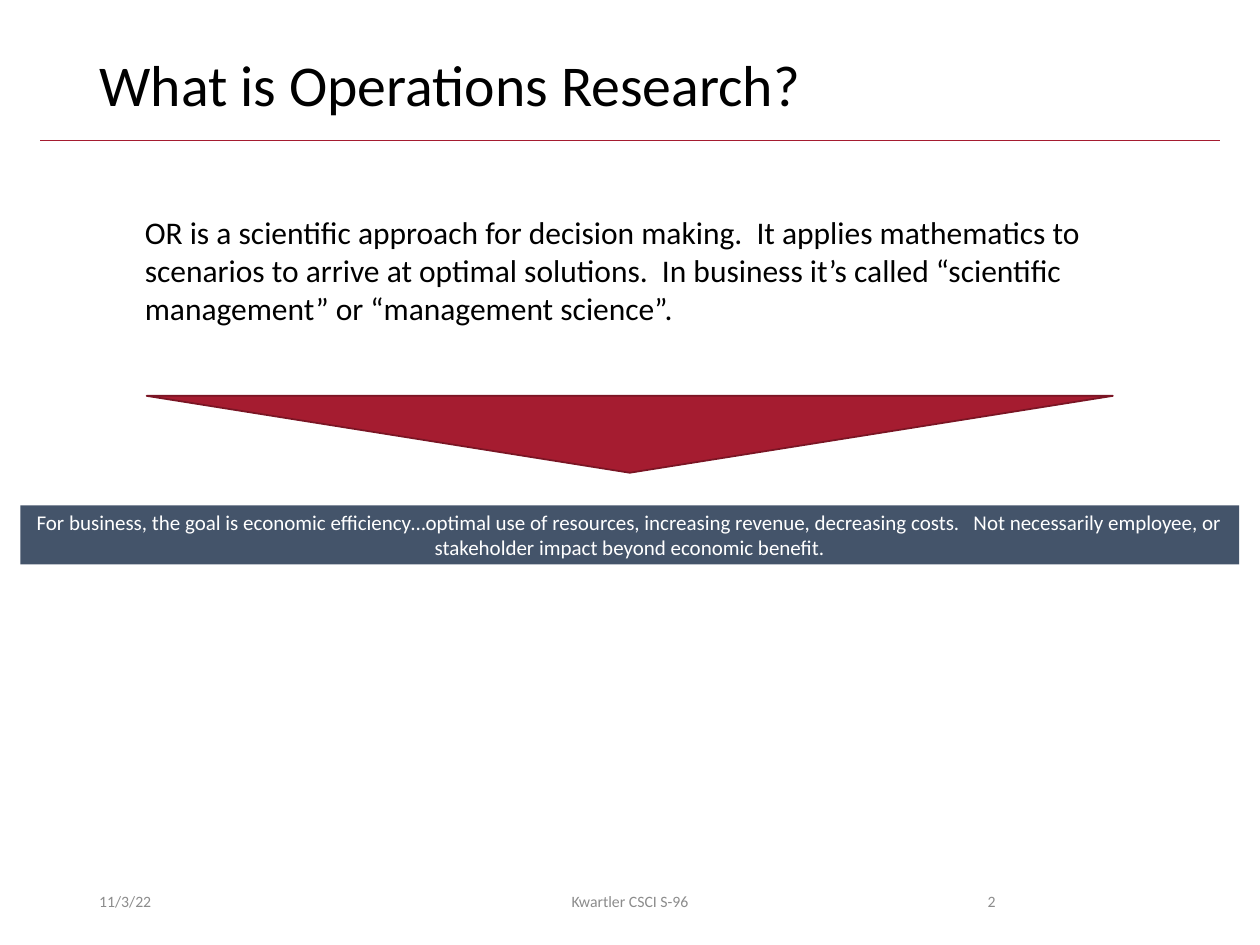
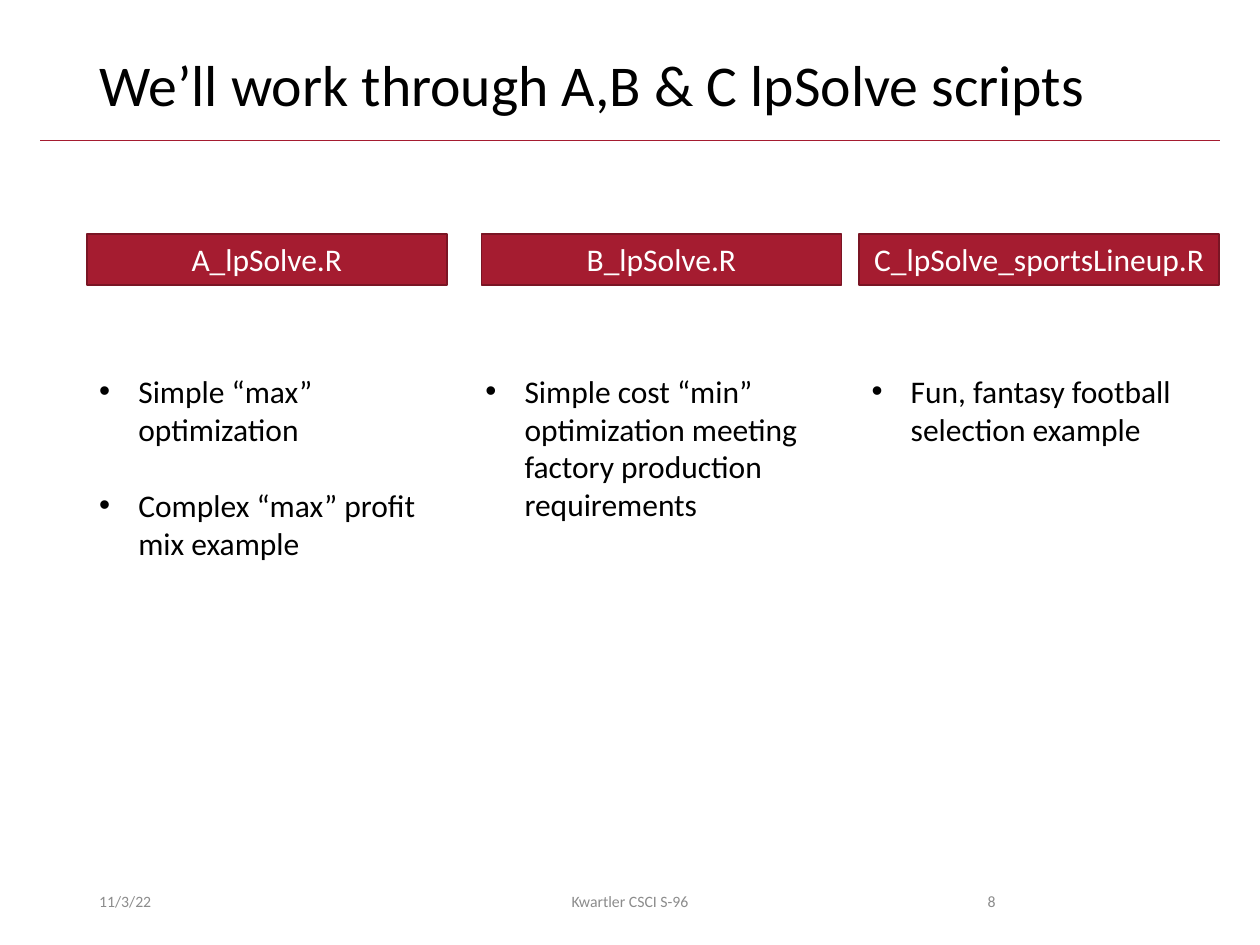
from dataclasses import dataclass

from lxml.etree import SubElement
from pptx import Presentation
from pptx.dml.color import RGBColor
from pptx.enum.shapes import MSO_CONNECTOR, MSO_SHAPE
from pptx.enum.text import MSO_ANCHOR, MSO_AUTO_SIZE, PP_ALIGN
from pptx.oxml.ns import qn
from pptx.util import Cm, Pt


@dataclass(frozen=True)
class Theme:
    font: str = "Calibri"
    ink: str = "000000"
    white: str = "FFFFFF"
    grey: str = "8C8C8C"
    crimson: str = "A51C30"
    crimson_edge: str = "7A1524"
    slate: str = "44546A"
    title_size: float = 33
    body_size: float = 18
    banner_size: float = 12
    footer_size: float = 9


@dataclass(frozen=True)
class Box:
    """Lengths in centimetres."""
    left: float
    top: float
    width: float
    height: float

    def lengths(self):
        return Cm(self.left), Cm(self.top), Cm(self.width), Cm(self.height)


THEME = Theme()
PAGE = Box(0, 0, 25.4, 19.05)
MARGIN = 1.75
BULLET_INDENT = 0.79


# Text and shape helpers
def add_span(para, text, size, color):
    span = para.add_run()
    span.text = text
    span.font.name = THEME.font
    span.font.size = Pt(size)
    span.font.color.rgb = RGBColor.from_string(color)


def add_text(slide, box, text, size, color, align=PP_ALIGN.LEFT, anchor=MSO_ANCHOR.TOP):
    frame = slide.shapes.add_textbox(*box.lengths()).text_frame
    frame.word_wrap = True
    frame.vertical_anchor = anchor
    frame.paragraphs[0].alignment = align
    add_span(frame.paragraphs[0], text, size, color)


def add_block(slide, kind, box, fill, edge=None):
    shape = slide.shapes.add_shape(kind, *box.lengths())
    shape.shadow.inherit = False
    shape.fill.solid()
    shape.fill.fore_color.rgb = RGBColor.from_string(fill)
    if edge:
        shape.line.color.rgb = RGBColor.from_string(edge)
        shape.line.width = Pt(1)
    else:
        shape.line.fill.background()
    return shape


def label_block(shape, text, size):
    frame = shape.text_frame
    frame.word_wrap = True
    frame.vertical_anchor = MSO_ANCHOR.MIDDLE
    frame.paragraphs[0].alignment = PP_ALIGN.CENTER
    add_span(frame.paragraphs[0], text, size, THEME.white)


# Parts every slide shares
def set_title(slide, box, text):
    title = slide.shapes.title
    title.left, title.top, title.width, title.height = box.lengths()
    frame = title.text_frame
    frame.word_wrap = True
    frame.auto_size = MSO_AUTO_SIZE.NONE
    frame.vertical_anchor = MSO_ANCHOR.TOP
    para = frame.paragraphs[0]
    para.alignment = PP_ALIGN.LEFT
    para.line_spacing = 0.9
    add_span(para, text, THEME.title_size, THEME.ink)


def add_title_rule(slide, left, right, top):
    rule = slide.shapes.add_connector(
        MSO_CONNECTOR.STRAIGHT, Cm(left), Cm(top), Cm(right), Cm(top))
    rule.line.color.rgb = RGBColor.from_string(THEME.crimson)
    rule.line.width = Pt(0.5)
    SubElement(rule._element.spPr, qn("a:effectLst"))


def add_footer(slide, box, number):
    parts = (
        ("11/3/22", 0, 5.72, PP_ALIGN.LEFT),
        ("Kwartler CSCI S-96", 6.66, 8.58, PP_ALIGN.CENTER),
        (str(number), 16.18, 2.39, PP_ALIGN.RIGHT),
    )
    for text, offset, width, align in parts:
        part = Box(box.left + offset, box.top, width, box.height)
        add_text(slide, part, text, THEME.footer_size, THEME.grey, align, MSO_ANCHOR.MIDDLE)


def add_page(deck, title, number):
    slide = deck.slides.add_slide(deck.slide_layouts.get_by_name("Title Only"))
    add_title_rule(slide, 0.81, PAGE.width - 0.81, 2.84)
    content_width = PAGE.width - 2 * MARGIN
    set_title(slide, Box(MARGIN, 1.02, content_width, 1.65), title)
    add_footer(slide, Box(MARGIN, 17.65, content_width, 1.02), number)
    return slide


# Definition leading down to the business goal
def add_definition(slide, box, definition, goal):
    text_box = Box(box.left + 2.26, box.top, 20.09, 2.57)
    add_text(slide, text_box, definition, THEME.body_size, THEME.ink)

    arrow_width = 19.48
    arrow_box = Box(box.left + (box.width - arrow_width) / 2, box.top + 3.81,
                    arrow_width, 1.55)
    arrow = add_block(slide, MSO_SHAPE.ISOSCELES_TRIANGLE, arrow_box,
                      THEME.crimson, THEME.crimson_edge)
    arrow.rotation = 180

    banner_box = Box(box.left, box.top + 6.02, box.width, 1.19)
    banner = add_block(slide, MSO_SHAPE.RECTANGLE, banner_box, THEME.slate)
    label_block(banner, goal, THEME.banner_size)


# Script column: heading bar above a bullet list
def add_bullets(slide, box, items):
    frame = slide.shapes.add_textbox(*box.lengths()).text_frame
    frame.word_wrap = True
    for index, item in enumerate(items):
        para = frame.add_paragraph() if index else frame.paragraphs[0]
        if index:
            para.space_before = Pt(22)
        props = para._p.get_or_add_pPr()
        props.set("marL", str(Cm(BULLET_INDENT)))
        props.set("indent", str(-Cm(BULLET_INDENT)))
        SubElement(props, qn("a:buFont"), typeface="Arial")
        SubElement(props, qn("a:buChar"), char="•")
        add_span(para, item, THEME.body_size, THEME.ink)


def add_script_column(slide, box, name, items, heading_shift):
    heading_box = Box(box.left + heading_shift, box.top, box.width, 1.02)
    heading = add_block(slide, MSO_SHAPE.RECTANGLE, heading_box,
                        THEME.crimson, THEME.crimson_edge)
    label_block(heading, name, THEME.body_size)
    list_top = 2.65
    add_bullets(slide, Box(box.left, box.top + list_top, box.width,
                           box.height - list_top), items)


def add_script_columns(slide, box, scripts):
    column_width = 7.26
    pitch = (box.width - column_width) / (len(scripts) - 1)
    for index, (name, items, heading_shift) in enumerate(scripts):
        column = Box(box.left + index * pitch, box.top, column_width, box.height)
        add_script_column(slide, column, name, items, heading_shift)


def main():
    deck = Presentation()
    deck.slide_width, deck.slide_height = Cm(PAGE.width), Cm(PAGE.height)

    definition_page = add_page(deck, "What is Operations Research?", 2)
    add_definition(
        definition_page, Box(0.41, 4.17, 24.57, 7.21),
        "OR is a scientific approach for decision making.  It applies mathematics to "
        "scenarios to arrive at optimal solutions.  In business it’s called “scientific "
        "management” or “management science”.",
        "For business, the goal is economic efficiency…optimal use of resources, "
        "increasing revenue, decreasing costs.   Not necessarily employee, or "
        "stakeholder impact beyond economic benefit.")

    scripts_page = add_page(deck, "We’ll work through A,B & C lpSolve scripts", 8)
    add_script_columns(scripts_page, Box(MARGIN, 4.72, 22.83, 6.76), (
        ("A_lpSolve.R",
         ("Simple “max” optimization", "Complex “max” profit mix example"), 0),
        ("B_lpSolve.R",
         ("Simple cost “min” optimization meeting factory production requirements",), 0.17),
        ("C_lpSolve_sportsLineup.R",
         ("Fun, fantasy football selection example",), 0),
    ))

    deck.save("out.pptx")


if __name__ == "__main__":
    main()
